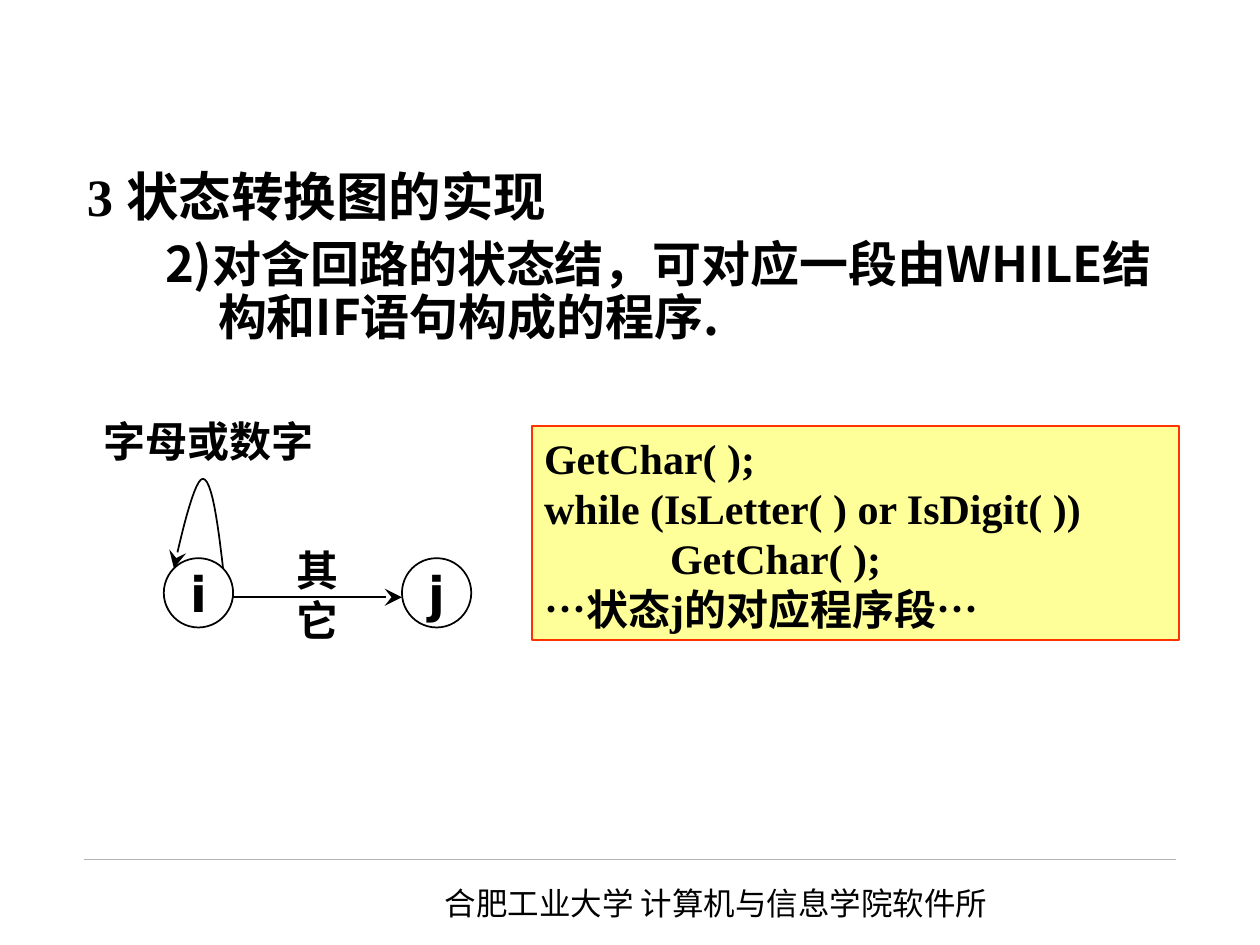
import pptx
import pptx.util
import pptx.dml.color
import pptx.enum.shapes
import pptx.enum.text
import pptx.oxml.ns
import lxml.etree

BLACK = pptx.dml.color.RGBColor(0x00, 0x00, 0x00)
GREY = pptx.dml.color.RGBColor(0xB2, 0xB2, 0xB2)
YELLOW = pptx.dml.color.RGBColor(0xFF, 0xFF, 0x99)
RED = pptx.dml.color.RGBColor(0xFF, 0x33, 0x00)
CHINESE = "Noto Sans CJK SC"
ROMAN = "Times New Roman"
CENTER = pptx.enum.text.PP_ALIGN.CENTER
LEFT = pptx.enum.text.PP_ALIGN.LEFT
MIDDLE = pptx.enum.text.MSO_ANCHOR.MIDDLE
TOP = pptx.enum.text.MSO_ANCHOR.TOP
SHAPES = pptx.enum.shapes.MSO_SHAPE
qn = pptx.oxml.ns.qn

deck = pptx.Presentation()
deck.slide_width = pptx.util.Inches(10)
deck.slide_height = pptx.util.Inches(7.5)
column = deck.slide_width / 100
row = deck.slide_height / 75
page = deck.slides.add_slide(deck.slide_layouts[1])
title = page.shapes.title.element
title.getparent().remove(title)


def grid(left, top, width, height):
    return [int(left * column), int(top * row), int(width * column), int(height * row)]


def add_span(para, text, font, size, bold=True):
    span = para.add_run()
    span.text = text
    formats = {"name": font, "size": pptx.util.Pt(size), "bold": bold}
    for name, value in formats.items():
        setattr(span.font, name, value)
    span.font.color.rgb = BLACK
    lxml.etree.SubElement(span.font._element, qn("a:ea"), typeface=CHINESE)


body = page.placeholders[1]
for name, value in zip(("left", "top", "width", "height"), grid(5.9, 13.1, 90, 16.5)):
    setattr(body, name, value)
body.text_frame.auto_size = pptx.enum.text.MSO_AUTO_SIZE.NONE
body_paragraphs = [
    (0, 0.51, -0.51, 0, 30, [("3 ", ROMAN), ("状态转换图的实现", CHINESE)]),
    (1, 1.04, -0.42, 7, 28, [("2)对含回路的状态结，可对应一段由WHILE结构和IF语句构成的程序.", CHINESE)]),
]
for index, (level, margin, indent, before, size, spans) in enumerate(body_paragraphs):
    para = body.text_frame.add_paragraph() if index else body.text_frame.paragraphs[0]
    formats = {"level": level, "line_spacing": 0.9, "space_before": pptx.util.Pt(before)}
    for name, value in formats.items():
        setattr(para, name, value)
    properties = para._p.get_or_add_pPr()
    properties.set("marL", str(pptx.util.Inches(margin)))
    properties.set("indent", str(pptx.util.Inches(indent)))
    lxml.etree.SubElement(properties, qn("a:buNone"))
    for text, font in spans:
        add_span(para, text, font, size)

labels = [
    (grid(34.3, 69.7, 47.2, 4), "合肥工业大学 计算机与信息学院软件所", CHINESE, 18, False, LEFT, True),
    (grid(6.7, 32.5, 19.7, 5), "字母或数字", "Arial", 24, True, CENTER, True),
    (grid(20.9, 42.7, 8.6, 5), "其它", "Arial", 24, True, CENTER, False),
]
for place, text, font, size, bold, alignment, wrap in labels:
    box = page.shapes.add_textbox(*place)
    box.text_frame.word_wrap = wrap
    para = box.text_frame.paragraphs[0]
    para.alignment = alignment
    add_span(para, text, font, size, bold)

code = ["GetChar( );", "while (IsLetter( ) or IsDigit( ))", "\tGetChar( );", "…状态j的对应程序段…"]
panels = [
    (SHAPES.OVAL, grid(13, 44.3, 5.5, 5.5), ["i"], "DejaVu Sans", 28, None, BLACK, CENTER, False),
    (SHAPES.OVAL, grid(31.9, 44.3, 5.5, 5.5), ["j"], "DejaVu Sans", 28, None, BLACK, CENTER, False),
    (SHAPES.RECTANGLE, grid(42.2, 33.8, 51.4, 17), code, ROMAN, 24, YELLOW, RED, LEFT, True),
]
for kind, place, lines, font, size, fill, outline, alignment, wrap in panels:
    panel = page.shapes.add_shape(kind, *place)
    panel.shadow.inherit = False
    if fill is None:
        panel.fill.background()
    else:
        panel.fill.solid()
        panel.fill.fore_color.rgb = fill
    panel.line.color.rgb = outline
    panel.line.width = pptx.util.Pt(1)
    frame = panel.text_frame
    frame.word_wrap = wrap
    frame.vertical_anchor = MIDDLE
    for index, text in enumerate(lines):
        para = frame.add_paragraph() if index else frame.paragraphs[0]
        para.alignment = alignment
        if text.startswith("\t"):
            tabs = lxml.etree.SubElement(para._p.get_or_add_pPr(), qn("a:tabLst"))
            lxml.etree.SubElement(tabs, qn("a:tab"), pos=str(pptx.util.Inches(1)), algn="l")
        add_span(para, text, font, size)

curves = [
    [(17.7, 45.1), (17.3, 41.5), (16.8, 38), (16.1, 38)],
    [(16.1, 38), (15.5, 38), (14.6, 41.5), (13.8, 45.1)],
]
steps = 12
points = []
for curve in curves:
    for step in range(1, steps + 1):
        share = step / steps
        weights = [(1 - share) ** 3, 3 * share * (1 - share) ** 2, 3 * share ** 2 * (1 - share), share ** 3]
        across = sum(weight * point[0] for weight, point in zip(weights, curve))
        down = sum(weight * point[1] for weight, point in zip(weights, curve))
        points.append((int(across * column), int(down * row)))
start = curves[0][0]
builder = page.shapes.build_freeform(int(start[0] * column), int(start[1] * row))
builder.add_line_segments(points, close=False)
loop = builder.convert_to_shape()
loop.shadow.inherit = False
loop.fill.background()

STRAIGHT = pptx.enum.shapes.MSO_CONNECTOR.STRAIGHT
arrow = page.shapes.add_connector(STRAIGHT, *grid(18.5, 47.4, 31.9, 47.4))
rule = page.shapes.add_connector(STRAIGHT, *grid(6.7, 68.2, 93.3, 68.2))
for stroke, color, width, head in [(loop, BLACK, 1, True), (arrow, BLACK, 1, True), (rule, GREY, 0.25, False)]:
    stroke.line.color.rgb = color
    stroke.line.width = pptx.util.Pt(width)
    if head:
        lxml.etree.SubElement(stroke.line._get_or_add_ln(), qn("a:tailEnd"), type="stealth", w="lg", len="lg")
    if stroke is not loop:
        lxml.etree.SubElement(stroke._element.spPr, qn("a:effectLst"))

deck.save("out.pptx")
